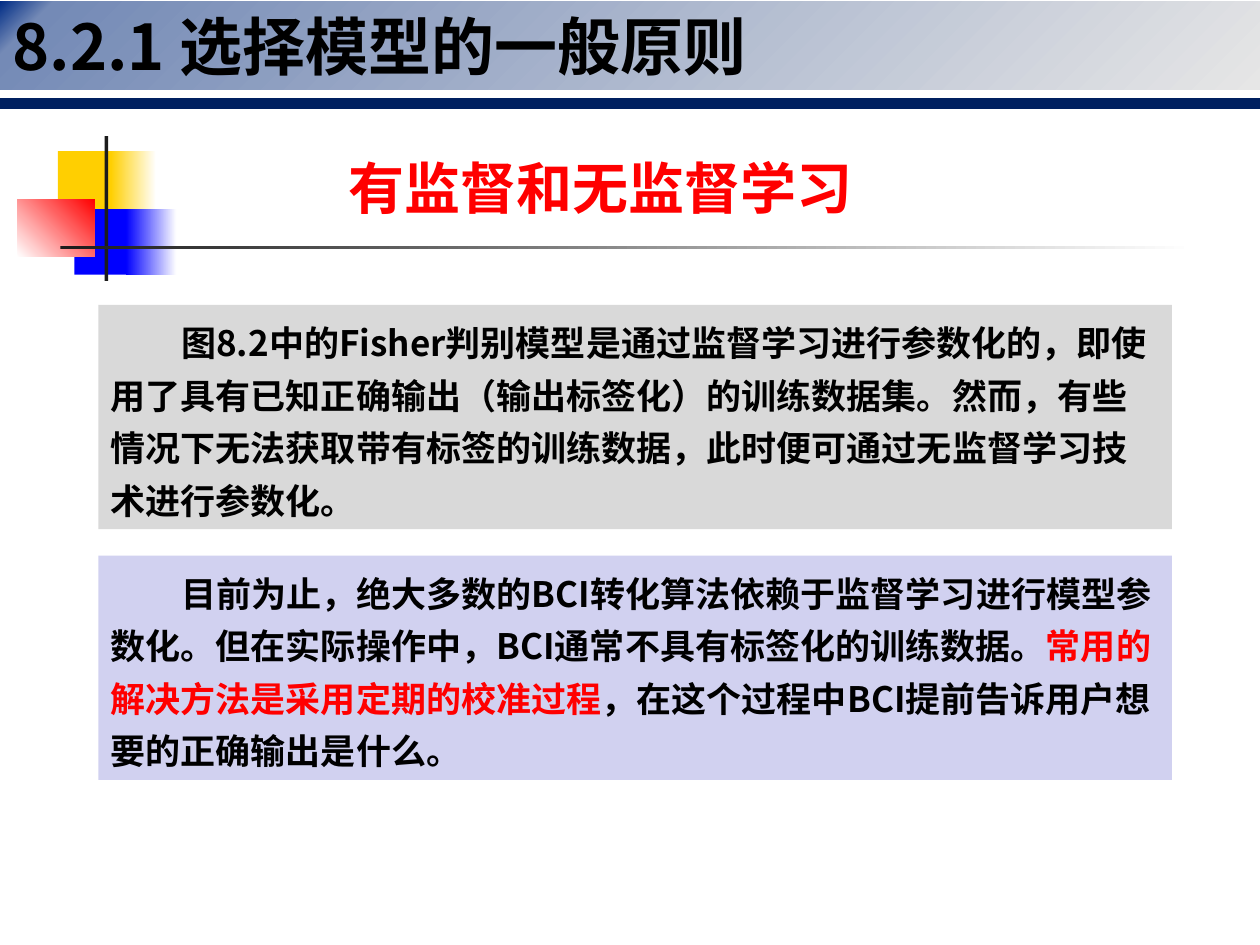
from copy import deepcopy
from dataclasses import dataclass

from lxml.etree import SubElement
from pptx import Presentation
from pptx.dml.color import RGBColor
from pptx.enum.shapes import MSO_CONNECTOR, MSO_SHAPE
from pptx.enum.text import MSO_ANCHOR, MSO_AUTO_SIZE, PP_ALIGN
from pptx.oxml.ns import qn
from pptx.util import Inches, Pt


@dataclass(frozen=True)
class Theme:
    font: str = "Noto Sans CJK SC"
    accent_font: str = "Lato"
    title_size: int = 36
    heading_size: int = 32
    body_size: int = 20
    black: str = "000000"
    white: str = "FFFFFF"
    red: str = "FF0000"
    yellow: str = "FFCF01"
    blue: str = "0000FF"
    charcoal: str = "1C1C1C"
    navy: str = "002060"
    gray_panel: str = "D9D9D9"
    lilac_panel: str = "D1D1F0"
    banner: tuple = ((0, "012D86"), (4, "748AB6"), (100, "E6E6E6"))


theme = Theme()


def paint(shape, stops, angle=0):
    """Fill with one colour, or with (percent, colour) stops at a clockwise angle."""
    if isinstance(stops, str):
        shape.fill.solid()
        shape.fill.fore_color.rgb = RGBColor.from_string(stops)
    else:
        shape.fill.gradient()
        shape.fill.gradient_angle = -angle % 360
        stop_list = shape._element.spPr.find(".//" + qn("a:gsLst"))
        while len(stop_list) < len(stops):
            stop_list.append(deepcopy(stop_list[0]))
        for stop, (percent, color) in zip(shape.fill.gradient_stops, stops):
            stop.position = percent / 100
            stop.color.rgb = RGBColor.from_string(color)
    shape.line.fill.background()


def style_run(run, size, color, font=theme.font):
    run.font.name = font
    run.font.size = Pt(size)
    run.font.bold = True
    run.font.color.rgb = RGBColor.from_string(color)
    SubElement(run._r.get_or_add_rPr(), qn("a:ea")).set("typeface", theme.font)


presentation = Presentation()
presentation.slide_width = Inches(10)
presentation.slide_height = Inches(7.5)
slide = presentation.slides.add_slide(presentation.slide_layouts[5])

# Title banner
title = slide.shapes.title
title.left, title.top = Inches(0), Inches(0.01)
title.width, title.height = Inches(10), Inches(0.7)
paint(title, theme.banner, 45)
title.text_frame.text = "8.2.1 选择模型的一般原则"
title.text_frame.auto_size = MSO_AUTO_SIZE.NONE
title.text_frame.vertical_anchor = MSO_ANCHOR.MIDDLE
title.text_frame.paragraphs[0].alignment = PP_ALIGN.LEFT
style_run(title.text_frame.paragraphs[0].runs[0], theme.title_size, theme.black)

# Rule under the banner
rule = slide.shapes.add_connector(
    MSO_CONNECTOR.STRAIGHT, Inches(0), Inches(0.82), Inches(10), Inches(0.82))
rule.line.color.rgb = RGBColor.from_string(theme.navy)
rule.line.width = Pt(6)
SubElement(rule._element.spPr, qn("a:effectLst"))

# Coloured blocks and crossing bars
ornaments = [
    (0.46, 1.2, 0.48, 0.52, theme.yellow, 0),
    (0.88, 1.2, 0.36, 0.52, ((0, theme.yellow), (100, theme.white)), 0),
    (0.59, 1.66, 0.46, 0.52, theme.blue, 0),
    (1, 1.66, 0.4, 0.52, ((0, theme.blue), (100, theme.white)), 0),
    (0.14, 1.58, 0.61, 0.46, ((0, theme.white), (100, theme.red)), 315),
    (0.83, 1.08, 0.03, 1.15, theme.charcoal, 0),
    (0.48, 1.95, 9, 0.03, ((0, theme.charcoal), (100, theme.white)), 0),
]
for left, top, width, height, stops, angle in ornaments:
    block = slide.shapes.add_shape(
        MSO_SHAPE.RECTANGLE, Inches(left), Inches(top), Inches(width), Inches(height))
    block.shadow.inherit = False
    paint(block, stops, angle)

# Section heading
heading = slide.shapes.add_textbox(Inches(2.67), Inches(1.17), Inches(4.66), Inches(0.64))
heading.text_frame.word_wrap = True
heading.text_frame.text = "有监督和无监督学习"
style_run(heading.text_frame.paragraphs[0].runs[0],
          theme.heading_size, theme.red, theme.accent_font)

# Text panels
panels = [
    (2.42, theme.gray_panel, [
        ("图8.2中的Fisher判别模型是通过监督学习进行参数化的，即使用了具有已知正确输出"
         "（输出标签化）的训练数据集。然而，有些情况下无法获取带有标签的训练数据，"
         "此时便可通过无监督学习技术进行参数化。", theme.black),
    ]),
    (4.41, theme.lilac_panel, [
        ("目前为止，绝大多数的BCI转化算法依赖于监督学习进行模型参数化。"
         "但在实际操作中，BCI通常不具有标签化的训练数据。", theme.black),
        ("常用的解决方法是采用定期的校准过程", theme.red),
        ("，在这个过程中BCI提前告诉用户想要的正确输出是什么。", theme.black),
    ]),
]
for top, color, passages in panels:
    panel = slide.shapes.add_shape(
        MSO_SHAPE.RECTANGLE, Inches(0.78), Inches(top), Inches(8.52), Inches(1.78))
    panel.shadow.inherit = False
    paint(panel, color)
    panel.text_frame.word_wrap = True
    panel.text_frame.vertical_anchor = MSO_ANCHOR.TOP
    paragraph = panel.text_frame.paragraphs[0]
    paragraph.alignment = PP_ALIGN.LEFT
    paragraph.line_spacing = 1.25
    paragraph._p.get_or_add_pPr().set("indent", str(Inches(0.56)))
    for text, text_color in passages:
        run = paragraph.add_run()
        run.text = text
        style_run(run, theme.body_size, text_color)

presentation.save("out.pptx")
